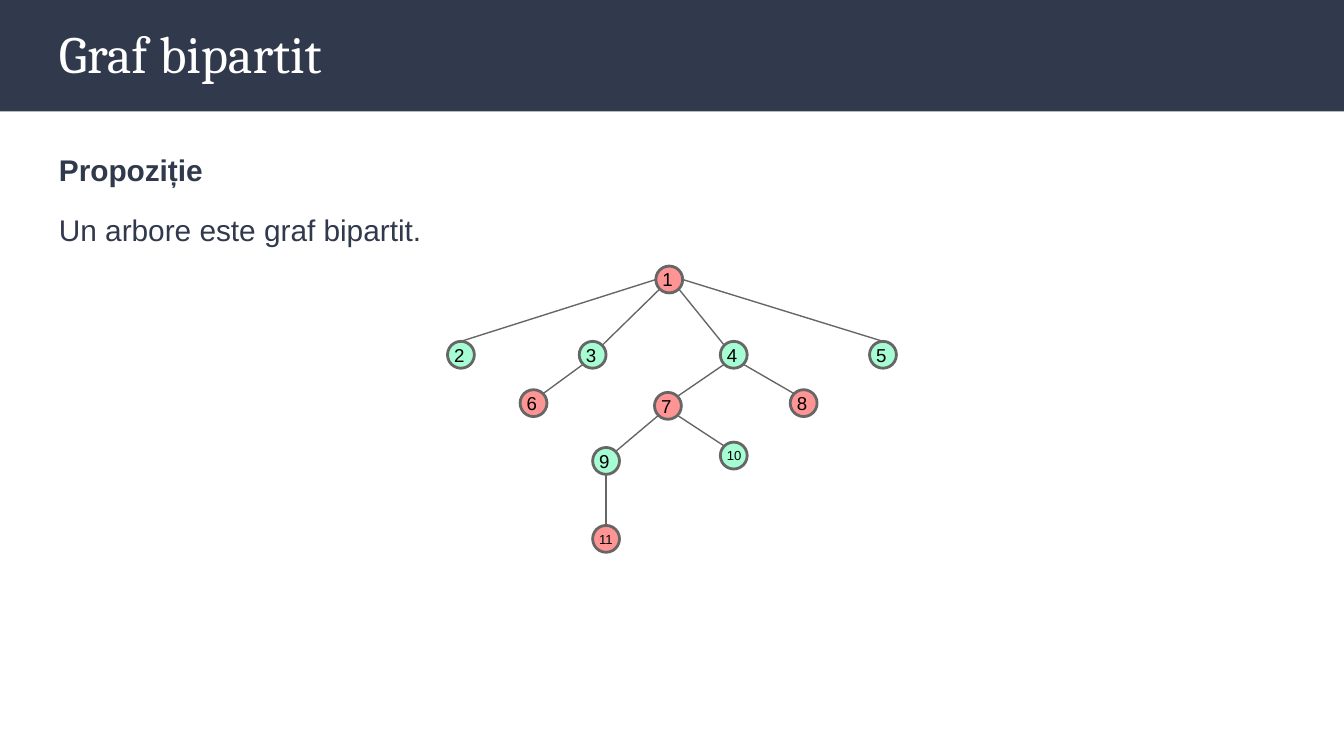
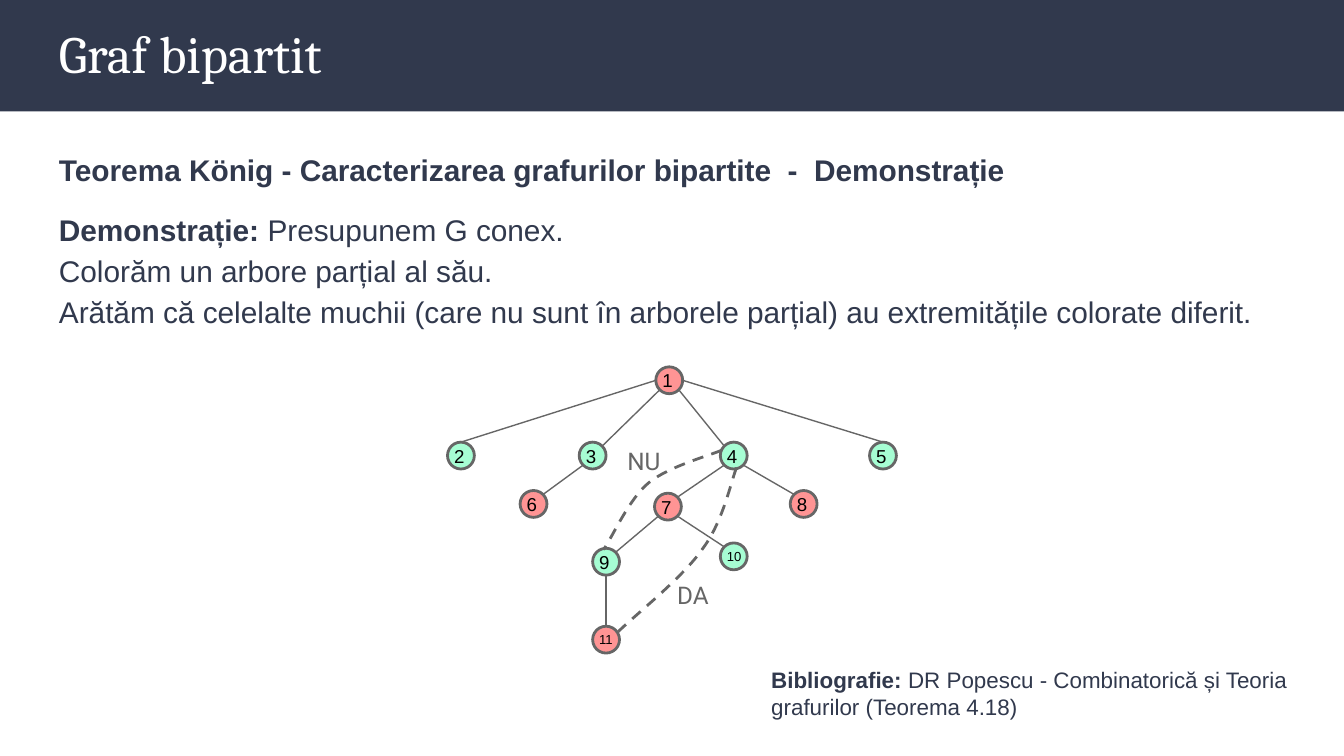
import math

import lxml.etree
import pptx
import pptx.util
from pptx.dml.color import RGBColor
from pptx.enum.dml import MSO_LINE
from pptx.enum.shapes import MSO_CONNECTOR, MSO_SHAPE
from pptx.enum.text import MSO_ANCHOR, PP_ALIGN
from pptx.oxml.ns import qn

NAVY = RGBColor(0x31, 0x39, 0x4D)
WHITE = RGBColor(0xFF, 0xFF, 0xFF)
BLACK = RGBColor(0x00, 0x00, 0x00)
GRAY = RGBColor(0x66, 0x66, 0x66)
RED = RGBColor(0xFF, 0x94, 0x94)
GREEN = RGBColor(0xA6, 0xFD, 0xD3)

WIDTH = 10
HEIGHT = WIDTH * 9 / 16
MARGIN = 0.34
BAND = 0.83
NODE = 0.2

# Content: a paragraph is (space before, [(text, bold), ...])
TITLE = "Graf bipartit"
SLIDES = [
    {
        "body": [
            (0, [("Propoziție", True)]),
            (10, [("Un arbore este graf bipartit.", False)]),
        ],
        "tree_top": 1.98,
    },
    {
        "body": [
            (0, [("Teorema König - Caracterizarea grafurilor bipartite  -  Demonstrație", True)]),
            (10, [("Demonstrație: ", True), ("Presupunem G conex.", False)]),
            (0, [("Colorăm un arbore parțial al său.", False)]),
            (0, [("Arătăm că celelalte muchii (care nu sunt în arborele parțial) "
                  "au extremitățile colorate diferit.", False)]),
        ],
        "tree_top": 2.73,
        # Edges outside the tree: start, then three points for each Bézier piece
        "extra_edges": [
            [(5.37, 3.35), (5.28, 3.39), (4.98, 3.47), (4.83, 3.59),
             (4.68, 3.71), (4.55, 4.01), (4.49, 4.09)],
            [(5.48, 3.48), (5.44, 3.58), (5.38, 3.88), (5.23, 4.08),
             (5.09, 4.29), (4.71, 4.59), (4.6, 4.7)],
        ],
        "answers": [("NU", 4.57, 3.22), ("DA", 4.94, 4.22)],
        "source": [(0, [("Bibliografie:", True),
                        (" DR Popescu - Combinatorică și Teoria grafurilor (Teorema 4.18)", False)])],
    },
]

# Tree: left edge of each node and its drop below the root
NODES = {
    1: (4.88, 0), 2: (3.33, 0.56), 3: (4.31, 0.56), 4: (5.36, 0.56),
    5: (6.47, 0.56), 6: (3.87, 0.92), 7: (4.87, 0.94), 8: (5.88, 0.92),
    9: (4.41, 1.35), 10: (5.36, 1.31), 11: (4.41, 1.93),
}
# Parent, side it leaves, child, side it reaches
EDGES = [
    (1, "W", 2, "N"), (1, "E", 5, "N"), (1, "SW", 3, "NE"), (1, "SE", 4, "NW"),
    (4, "SW", 7, "NE"), (3, "SW", 6, "NE"), (7, "SW", 9, "NE"),
    (4, "SE", 8, "NW"), (7, "SE", 10, "NW"), (9, "S", 11, "N"),
]
ANGLES = {side: i * math.pi / 4
          for i, side in enumerate(["E", "SE", "S", "SW", "W", "NW", "N", "NE"])}


def inches(*values):
    return [pptx.util.Inches(v) for v in values]


def add_text(s, box, paragraphs, font, size, color, spacing=1.0, anchor=MSO_ANCHOR.TOP):
    tf = s.shapes.add_textbox(*inches(*box)).text_frame
    tf.word_wrap = True
    tf.vertical_anchor = anchor
    tf.margin_left, tf.margin_top, tf.margin_right, tf.margin_bottom = inches(*[0.1] * 4)
    for i, (before, runs) in enumerate(paragraphs):
        p = tf.add_paragraph() if i else tf.paragraphs[0]
        p.line_spacing = spacing
        p.space_before = pptx.util.Pt(before)
        p.font.name, p.font.size = font, pptx.util.Pt(size)
        p.font.color.rgb = color
        for text, bold in runs:
            r = p.add_run()
            r.text, r.font.bold = text, bold


def add_header(s):
    band = s.shapes.add_shape(MSO_SHAPE.RECTANGLE, *inches(0, 0, WIDTH, BAND))
    band.shadow.inherit = False
    band.fill.solid()
    band.fill.fore_color.rgb = NAVY
    band.line.fill.background()
    add_text(s, (MARGIN, 0.05, WIDTH - 2 * MARGIN, 0.68), [(0, [(TITLE, False)])],
             "Cambria", 28, WHITE, anchor=MSO_ANCHOR.MIDDLE)


def add_node(s, label, left, top, color):
    sp = s.shapes.add_shape(MSO_SHAPE.OVAL, *inches(left, top, NODE, NODE))
    sp.shadow.inherit = False
    sp.fill.solid()
    sp.fill.fore_color.rgb = color
    sp.line.color.rgb, sp.line.width = GRAY, pptx.util.Pt(1.5)
    tf = sp.text_frame
    tf.margin_left, tf.margin_top, tf.margin_right, tf.margin_bottom = inches(0.02, 0, 0, 0)
    tf.vertical_anchor = MSO_ANCHOR.MIDDLE
    p = tf.paragraphs[0]
    p.text = str(label)
    p.alignment = PP_ALIGN.LEFT
    p.font.name, p.font.size = "Arial", pptx.util.Pt(10 if label < 10 else 7)
    p.font.color.rgb = BLACK
    return sp


def add_tree(s, top):
    # Levels alternate between the two colours
    colors = {1: RED}
    for parent, _, child, _ in EDGES:
        colors[child] = GREEN if colors[parent] == RED else RED
    ovals = {n: add_node(s, n, x, top + drop, colors[n]) for n, (x, drop) in NODES.items()}

    def rim(n, side):
        x, drop = NODES[n]
        r = NODE / 2
        return x + r + r * math.cos(ANGLES[side]), top + drop + r + r * math.sin(ANGLES[side])

    for parent, out, child, into in EDGES:
        edge = s.shapes.add_connector(MSO_CONNECTOR.STRAIGHT,
                                      *inches(*rim(parent, out), *rim(child, into)))
        edge.line.color.rgb, edge.line.width = GRAY, pptx.util.Pt(0.75)
        lxml.etree.SubElement(edge._element.spPr, qn("a:effectLst"))
        if into == "N":
            edge.end_connect(ovals[child], 0)


def add_dashed_curve(s, points):
    start, *rest = [inches(*point) for point in points]
    builder = s.shapes.build_freeform(*start)
    builder.add_line_segments(rest, close=False)
    sp = builder.convert_to_shape()
    sp.shadow.inherit = False
    sp.fill.background()
    sp.line.color.rgb, sp.line.width = GRAY, pptx.util.Pt(1.5)
    sp.line.dash_style = MSO_LINE.DASH
    # Turn every three straight pieces into one Bézier piece
    outline = next(sp._element.iter(qn("a:path")))
    pieces = outline.findall(qn("a:lnTo"))
    for i in range(0, len(pieces), 3):
        bezier = lxml.etree.SubElement(outline, qn("a:cubicBezTo"))
        for piece in pieces[i:i + 3]:
            bezier.append(piece[0])
            outline.remove(piece)


def main():
    prs = pptx.Presentation()
    prs.slide_width, prs.slide_height = inches(WIDTH, HEIGHT)
    for content in SLIDES:
        s = prs.slides.add_slide(prs.slide_layouts[6])
        add_header(s)
        add_text(s, (MARGIN, 0.99, WIDTH - 2 * MARGIN, 4.11), content["body"],
                 "Arial", 16, NAVY, spacing=1.15)
        add_tree(s, content["tree_top"])
        for points in content.get("extra_edges", []):
            add_dashed_curve(s, points)
        if "source" in content:
            add_text(s, (5.64, 4.86, 4.36, 0.61), content["source"], "Arial", 12, NAVY)
        for answer, left, top in content.get("answers", []):
            add_text(s, (left, top, 0.72, 0.64), [(0, [(answer, False)])], "Roboto", 13, GRAY)
    prs.save("out.pptx")


if __name__ == "__main__":
    main()
